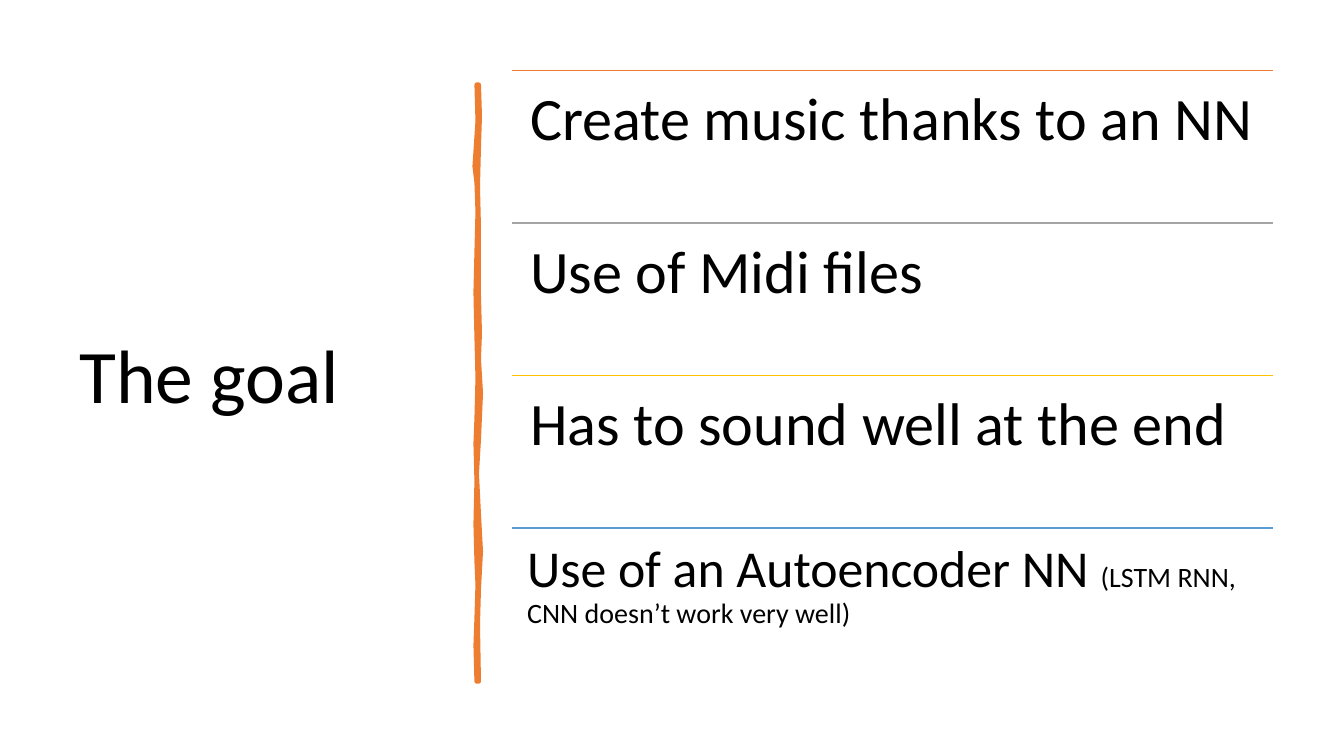
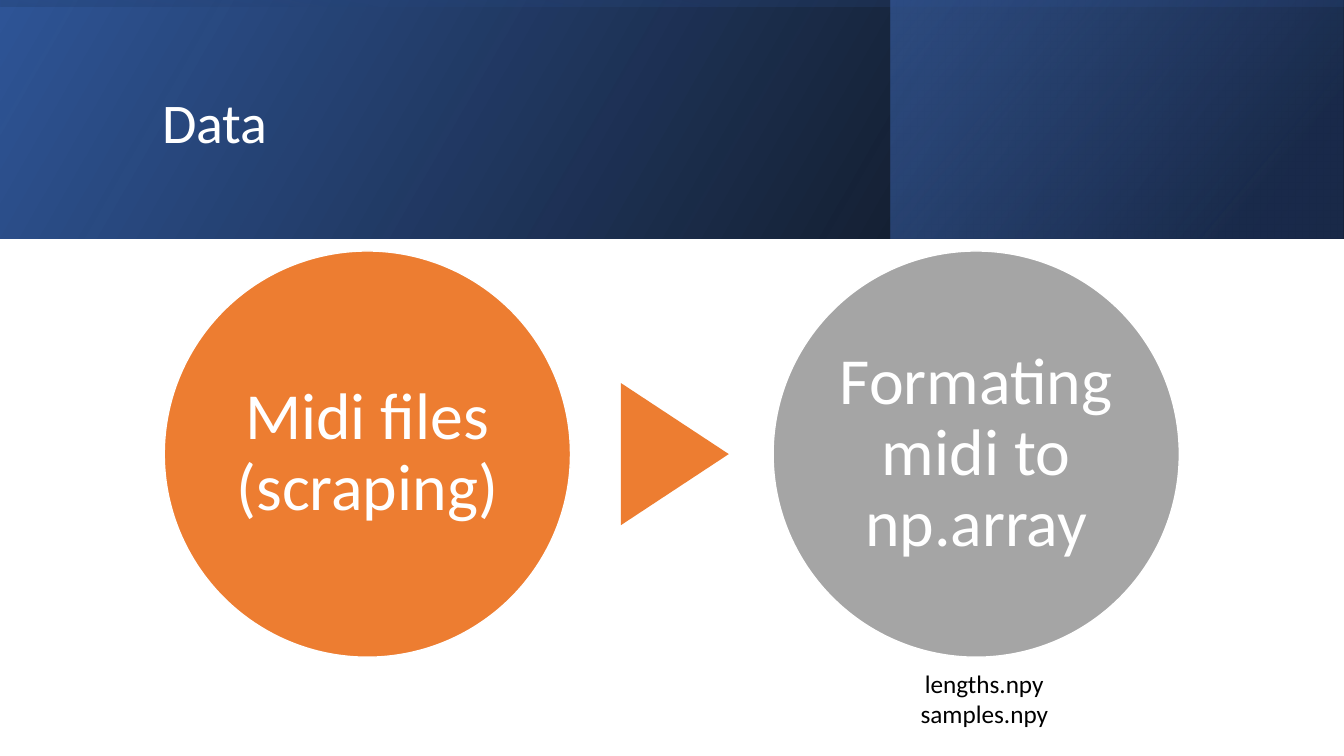
from dataclasses import dataclass

from lxml.etree import SubElement
from pptx import Presentation
from pptx.dml.color import RGBColor
from pptx.enum.shapes import MSO_CONNECTOR, MSO_SHAPE
from pptx.enum.text import MSO_ANCHOR, PP_ALIGN
from pptx.oxml import parse_xml
from pptx.oxml.ns import nsdecls, qn
from pptx.util import Inches, Pt

WIDTH, HEIGHT = 40 / 3, 7.5
FONT = "Calibri"
COLORS = {
    "black": "000000", "white": "FFFFFF", "orange": "ED7D31", "gray": "A5A5A5",
    "gold": "FFC000", "sky": "5B9BD5", "blue": "4472C4", "navy": "2F5597",
    "deep": "203864",
}


@dataclass(frozen=True)
class Box:
    left: float
    top: float
    width: float
    height: float

    def emu(self) -> tuple:
        return tuple(Inches(v) for v in (self.left, self.top, self.width, self.height))


@dataclass(frozen=True)
class Run:
    text: str
    size: float
    color: str = "black"


@dataclass(frozen=True)
class Goal:
    runs: tuple
    color: str
    inset: float = 0.18


@dataclass(frozen=True)
class Stop:
    position: int
    color: str
    opacity: int = 100


@dataclass(frozen=True)
class Band:
    box: Box
    angle: int
    stops: tuple
    rotation: int = 0


@dataclass(frozen=True)
class Step:
    column: int
    text: str
    color: str


def rgb(name: str) -> RGBColor:
    return RGBColor.from_string(COLORS[name])


def write_text(shape, paragraphs: list, anchor=MSO_ANCHOR.TOP, align=PP_ALIGN.LEFT,
               spacing: float = 0.9, insets: tuple = (0.1, 0.05, 0.1, 0.05)) -> None:
    """Fill a shape with paragraphs, each a sequence of runs."""
    frame = shape.text_frame
    frame_format = {"word_wrap": True, "vertical_anchor": anchor}
    sides = ("margin_left", "margin_top", "margin_right", "margin_bottom")
    frame_format.update(zip(sides, map(Inches, insets)))
    for name, value in frame_format.items():
        setattr(frame, name, value)
    for index, runs in enumerate(paragraphs):
        paragraph = frame.add_paragraph() if index else frame.paragraphs[0]
        for name, value in {"alignment": align, "line_spacing": spacing}.items():
            setattr(paragraph, name, value)
        for item in runs:
            run = paragraph.add_run()
            run.text = item.text
            for name, value in {"name": FONT, "size": Pt(item.size)}.items():
                setattr(run.font, name, value)
            run.font.color.rgb = rgb(item.color)


def add_text(slide, box: Box, paragraphs: list, **layout) -> None:
    write_text(slide.shapes.add_textbox(*box.emu()), paragraphs, **layout)


def add_title(slide, box: Box, title: Run) -> None:
    add_text(slide, box, [[title]], anchor=MSO_ANCHOR.MIDDLE)


def paint(shape, fill: str, line: str = "", width: float = 1) -> None:
    shape.shadow.inherit = False
    shape.fill.solid()
    shape.fill.fore_color.rgb = rgb(fill)
    if line:
        shape.line.color.rgb = rgb(line)
        shape.line.width = Pt(width)
    else:
        shape.line.fill.background()


def add_rule(slide, left: float, right: float, y: float, color: str) -> None:
    ends = (Inches(v) for v in (left, y, right, y))
    rule = slide.shapes.add_connector(MSO_CONNECTOR.STRAIGHT, *ends)
    rule.line.color.rgb = rgb(color)
    rule.line.width = Pt(1)
    SubElement(rule.line._get_or_add_ln().getparent(), qn("a:effectLst"))


def add_band(slide, band: Band) -> None:
    """Draw a mirrored rectangle with a translucent gradient."""
    shape = slide.shapes.add_shape(MSO_SHAPE.RECTANGLE, *band.box.emu())
    paint(shape, "navy")
    shape.rotation = band.rotation
    properties = shape._element.spPr
    properties.find(qn("a:xfrm")).set("flipH", "1")
    stops = "".join(
        f'<a:gs pos="{stop.position * 1000}"><a:srgbClr val="{COLORS[stop.color]}">'
        f'<a:alpha val="{stop.opacity * 1000}"/></a:srgbClr></a:gs>'
        for stop in band.stops)
    gradient = parse_xml(
        f'<a:gradFill {nsdecls("a")} rotWithShape="1"><a:gsLst>{stops}</a:gsLst>'
        f'<a:lin ang="{band.angle * 60000}" scaled="0"/></a:gradFill>')
    properties.replace(properties.find(qn("a:solidFill")), gradient)


def add_brush_stroke(slide) -> None:
    """Draw the hand-drawn vertical divider."""
    right_edge = [(4.75, 0.84), (4.76, 1.15), (4.75, 1.46), (4.74, 1.85), (4.75, 2.26),
                  (4.75, 2.94), (4.76, 3.3), (4.75, 3.56), (4.77, 3.9), (4.75, 4.36),
                  (4.73, 4.7), (4.75, 5.1), (4.77, 5.47), (4.75, 5.84), (4.74, 6.2),
                  (4.75, 6.76)]
    left_edge = [(4.73, 6.76), (4.72, 6.4), (4.73, 6.13), (4.74, 5.8), (4.73, 5.57),
                 (4.72, 5.2), (4.73, 4.77), (4.72, 4.4), (4.73, 4.15), (4.74, 3.75),
                 (4.73, 3.35), (4.72, 2.9), (4.73, 2.5), (4.74, 2.1), (4.73, 1.81),
                 (4.71, 1.65), (4.74, 1.2), (4.73, 0.84)]
    points = [(Inches(x), Inches(y)) for x, y in right_edge + left_edge]
    builder = slide.shapes.build_freeform(*points[0])
    builder.add_line_segments(points[1:], close=True)
    stroke = builder.convert_to_shape()
    paint(stroke, "orange", "orange", 3.25)
    SubElement(stroke.line._get_or_add_ln(), qn("a:round"))


def build_goal_slide(slide) -> None:
    add_title(slide, Box(0.69, 0.7, 3.74, 6.11), Run("The goal", 54))
    add_brush_stroke(slide)

    # Ruled list of goals
    goals = [
        Goal((Run("Create music thanks to an NN", 43),), "orange"),
        Goal((Run("Use of Midi files", 43),), "gray"),
        Goal((Run("Has to sound well at the end", 43),), "gold"),
        Goal((Run("Use of an Autoencoder NN ", 37),
              Run("(LSTM RNN, CNN doesn’t work very well)", 20)), "sky", 0.15),
    ]
    left, top, width, height = 5.08, 0.7, 7.55, 6.05
    row = height / len(goals)
    for index, goal in enumerate(goals):
        y = top + index * row
        add_rule(slide, left, left + width, y, goal.color)
        add_text(slide, Box(left, y, width, row), [goal.runs],
                 insets=(goal.inset, goal.inset, 0.1, goal.inset))


def build_data_slide(slide) -> None:
    # Layered header
    depth = 2.37
    right_part = WIDTH / 3 + 0.04
    bands = [
        Band(Box(0, 0, WIDTH, depth), 330, (Stop(0, "black", 96), Stop(100, "navy"))),
        Band(Box(WIDTH - right_part - 0.01, 0, right_part, depth), 320,
             (Stop(19, "deep", 68), Stop(100, "blue", 48))),
        Band(Box((WIDTH - depth) / 2, (depth - WIDTH) / 2, depth, WIDTH), 350,
             (Stop(23, "navy", 16), Stop(99, "black", 45)), 270),
    ]
    for band in bands:
        add_band(slide, band)
    add_title(slide, Box(1.51, 0.38, 10.63, 1.72), Run("Data", 40, "white"))

    # Process steps
    left, top, diameter, pitch = 1.63, 2.49, 4.03, 6.04
    steps = [Step(0, "Midi files (scraping)", "orange"),
             Step(1, "Formating midi to np.array", "gray")]
    for step in steps:
        box = Box(left + step.column * pitch, top, diameter, diameter)
        circle = slide.shapes.add_shape(MSO_SHAPE.OVAL, *box.emu())
        paint(circle, step.color, "white")
        write_text(circle, [[Run(step.text, 47, "white")]], MSO_ANCHOR.MIDDLE,
                   PP_ALIGN.CENTER, insets=(0.05,) * 4)

    # Arrowhead between the steps
    arrow_box = Box(5.99, 3.97, 1.41, 1.07)
    arrow = slide.shapes.add_shape(MSO_SHAPE.ISOSCELES_TRIANGLE, *arrow_box.emu())
    arrow.rotation = 90
    paint(arrow, "orange")

    # Resulting files
    files = ["lengths.npy", "samples.npy"]
    add_text(slide, Box(7.97, 6.58, 3.59, 0.71), [[Run(name, 18)] for name in files],
             align=PP_ALIGN.CENTER, spacing=1.0)


def main() -> None:
    presentation = Presentation()
    presentation.slide_width, presentation.slide_height = Inches(WIDTH), Inches(HEIGHT)
    blank = presentation.slide_layouts[6]
    for build in (build_goal_slide, build_data_slide):
        build(presentation.slides.add_slide(blank))
    presentation.save("out.pptx")


if __name__ == "__main__":
    main()
